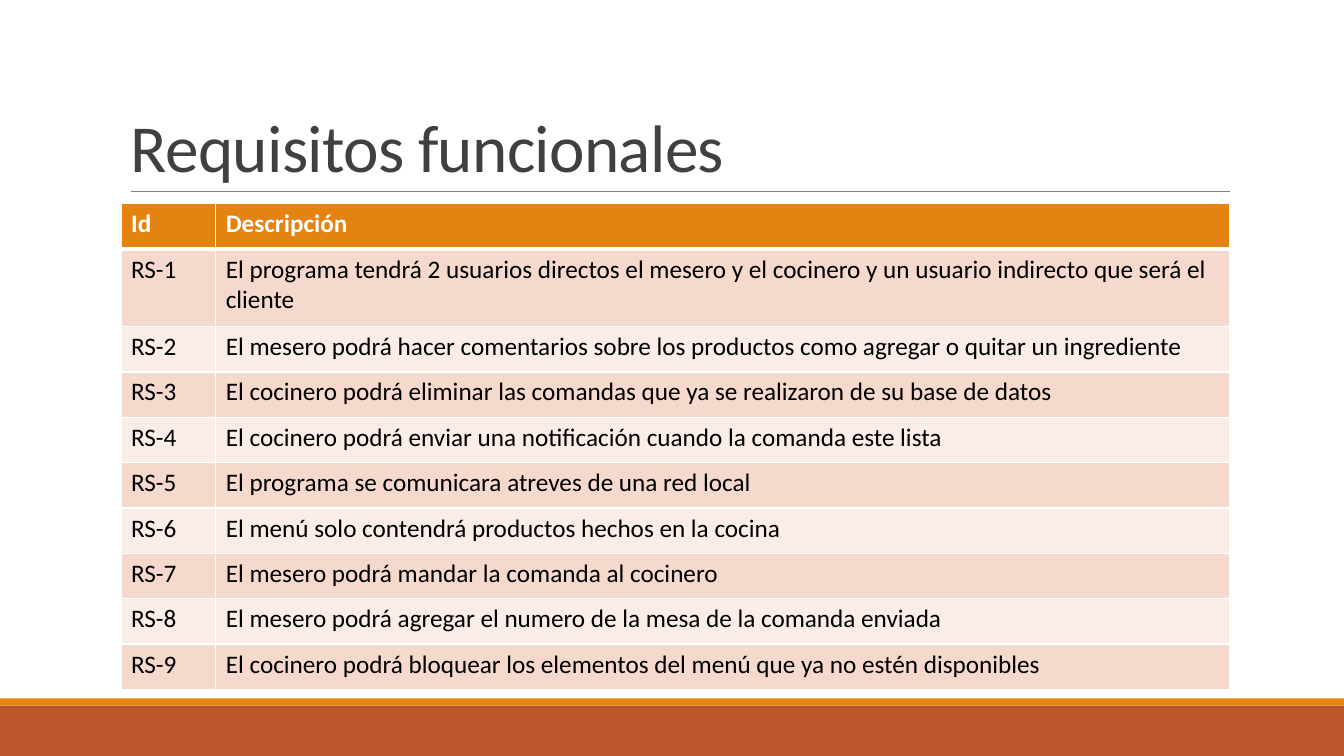
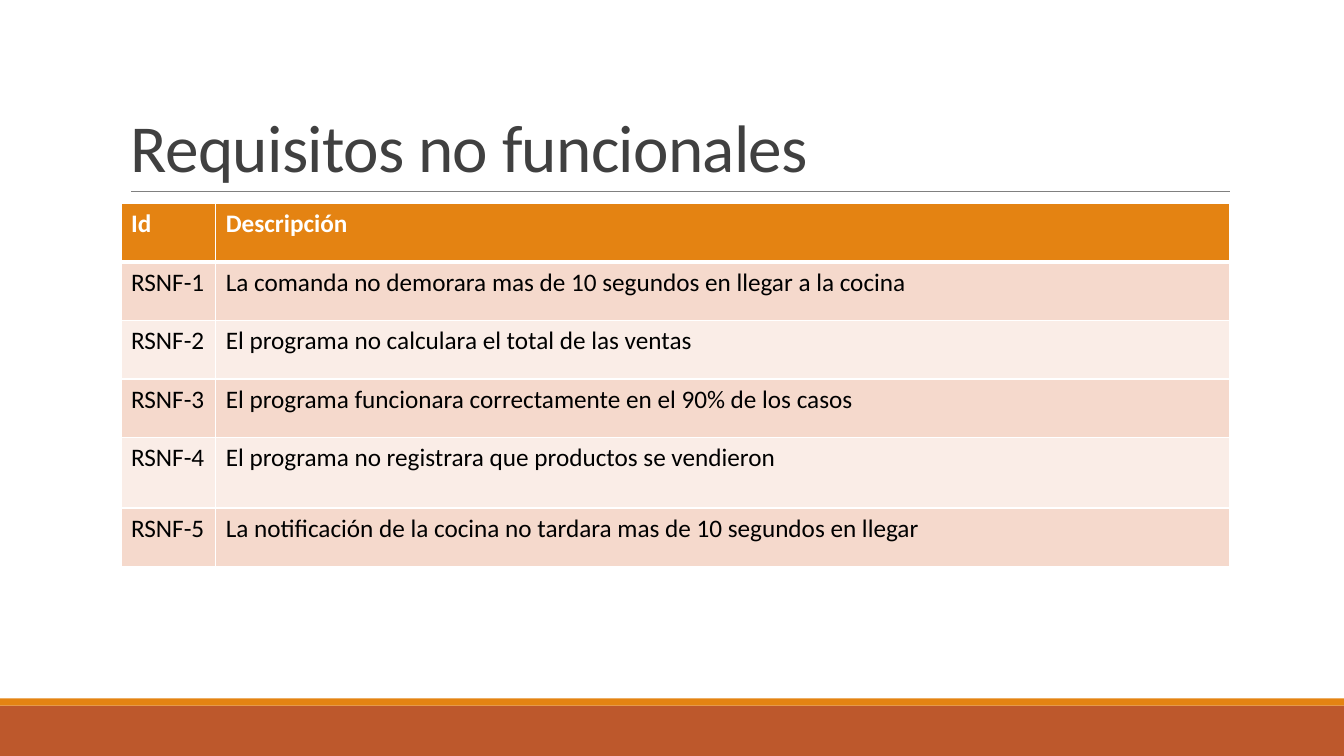
from lxml import etree
from pptx import Presentation
from pptx.dml.color import RGBColor
from pptx.enum.shapes import MSO_CONNECTOR as CONN, MSO_SHAPE as SHAPE
from pptx.enum.text import MSO_ANCHOR as ANCHOR
from pptx.oxml.ns import qn
from pptx.util import Inches, Pt

WHITE = RGBColor(0xFF, 0xFF, 0xFF)
BLACK = RGBColor(0x00, 0x00, 0x00)
GRAY = RGBColor(0x80, 0x80, 0x80)
DARK = RGBColor(0x40, 0x40, 0x40)
ORANGE = RGBColor(0xE4, 0x83, 0x12)
RUST = RGBColor(0xBD, 0x58, 0x2C)
BANDS = (RGBColor(0xFA, 0xED, 0xE7), RGBColor(0xF5, 0xD9, 0xCC))

FONT = "Calibri"
WIDTH, HEIGHT = 13.33, 7.5
LEFT, SPAN = 1.2, 11
INSET = 0.1
TITLE_BOX = (LEFT, 0.31, SPAN, 1.59)
TABLE_TOP = 2.02
FOOTER_BOX = (0, 6.93, WIDTH, 0.57)
STRIPE = 0.07
ID_COL = 0.94
HEADERS = ("Id", "Descripción")

FUNCTIONAL = (
    "El programa tendrá 2 usuarios directos el mesero y el cocinero y un usuario indirecto que será el cliente",
    "El mesero podrá hacer comentarios sobre los productos como agregar o quitar un ingrediente",
    "El cocinero podrá eliminar las comandas que ya se realizaron de su base de datos",
    "El cocinero podrá enviar una notificación cuando la comanda este lista",
    "El programa se comunicara atreves de una red local",
    "El menú solo contendrá productos hechos en la cocina",
    "El mesero podrá mandar la comanda al cocinero",
    "El mesero podrá agregar el numero de la mesa de la comanda enviada",
    "El cocinero podrá bloquear los elementos del menú que ya no estén disponibles",
)
NON_FUNCTIONAL = (
    "La comanda no demorara mas de 10 segundos en llegar a la cocina",
    "El programa no calculara el total de las ventas",
    "El programa funcionara correctamente en el 90% de los casos",
    "El programa no registrara que productos se vendieron",
    "La notificación de la cocina no tardara mas de 10 segundos en llegar",
)


def write(tf, text, size=18, color=BLACK, bold=False, spacing=None, tracking=None):
    """Write one formatted paragraph into a text frame."""
    p = tf.paragraphs[0]
    if spacing:
        p.line_spacing = spacing
    r = p.add_run()
    r.text = text
    r.font.name, r.font.size, r.font.bold = FONT, Pt(size), bold
    r.font.color.rgb = color
    if tracking:
        r._r.get_or_add_rPr().set("spc", str(round(tracking * 100)))


def add_band(s, box, color):
    """Draw a plain filled rectangle."""
    sp = s.shapes.add_shape(SHAPE.RECTANGLE, *map(Inches, box))
    sp.shadow.inherit = False
    sp.fill.solid()
    sp.fill.fore_color.rgb = color
    sp.line.fill.background()


def add_footer(s, box):
    """Draw the footer band with its stripe on top."""
    x, y, w, h = box
    add_band(s, (x, y + STRIPE, w, h - STRIPE), RUST)
    add_band(s, (x, y, w, STRIPE), ORANGE)


def add_title(s, box, text):
    """Place the title at the bottom of its box, underlined by a rule."""
    x, y, w, h = box
    ends = (x + INSET, y + h, x + w, y + h)
    rule = s.shapes.add_connector(CONN.STRAIGHT, *map(Inches, ends))
    rule.line.color.rgb = GRAY
    rule.line.width = Pt(0.5)
    etree.SubElement(rule._element.spPr, qn("a:effectLst"))
    tf = s.shapes.add_textbox(*map(Inches, box)).text_frame
    tf.word_wrap = True
    tf.vertical_anchor = ANCHOR.BOTTOM
    write(tf, text, size=48, color=DARK, spacing=0.85, tracking=-0.5)


def add_borders(cell, **widths):
    """Give a cell white borders, with a width in points for each side."""
    tcPr = cell._tc.get_or_add_tcPr()
    for side, width in widths.items():
        ln = etree.SubElement(tcPr, qn(f"a:ln{side}"), w=str(Pt(width)))
        fill = etree.SubElement(ln, qn("a:solidFill"))
        etree.SubElement(fill, qn("a:srgbClr"), val=str(WHITE))


def add_requirements(s, box, rows, heights):
    """Draw a table with a header row and banded rows."""
    table = s.shapes.add_table(len(rows), len(HEADERS), *map(Inches, box)).table
    for col, width in zip(table.columns, (ID_COL, box[2] - ID_COL)):
        col.width = Inches(width)
    for i, (values, height) in enumerate(zip(rows, heights)):
        table.rows[i].height = Inches(height)
        header = i == 0
        for cell, text in zip(table.rows[i].cells, values):
            add_borders(cell, L=1, R=1, T=3 if i == 1 else 1, B=3 if header else 1)
            cell.fill.solid()
            cell.fill.fore_color.rgb = ORANGE if header else BANDS[i % 2]
            write(cell.text_frame, text, color=WHITE if header else BLACK, bold=header)


def add_slide(prs, title, prefix, items, row_height, special):
    """Build a requirements slide; special maps row numbers to their heights."""
    s = prs.slides.add_slide(prs.slide_layouts[6])
    add_footer(s, FOOTER_BOX)
    add_title(s, TITLE_BOX, title)
    rows = [HEADERS] + [(f"{prefix}-{n}", text) for n, text in enumerate(items, 1)]
    heights = [special.get(i, row_height) for i in range(len(rows))]
    add_requirements(s, (LEFT, TABLE_TOP, SPAN, sum(heights)), rows, heights)


prs = Presentation()
prs.slide_width, prs.slide_height = Inches(WIDTH), Inches(HEIGHT)
add_slide(prs, "Requisitos funcionales", "RS", FUNCTIONAL, 0.45, {1: 0.77})
add_slide(prs, "Requisitos no funcionales", "RSNF", NON_FUNCTIONAL, 0.58, {4: 0.7})
prs.save("out.pptx")
